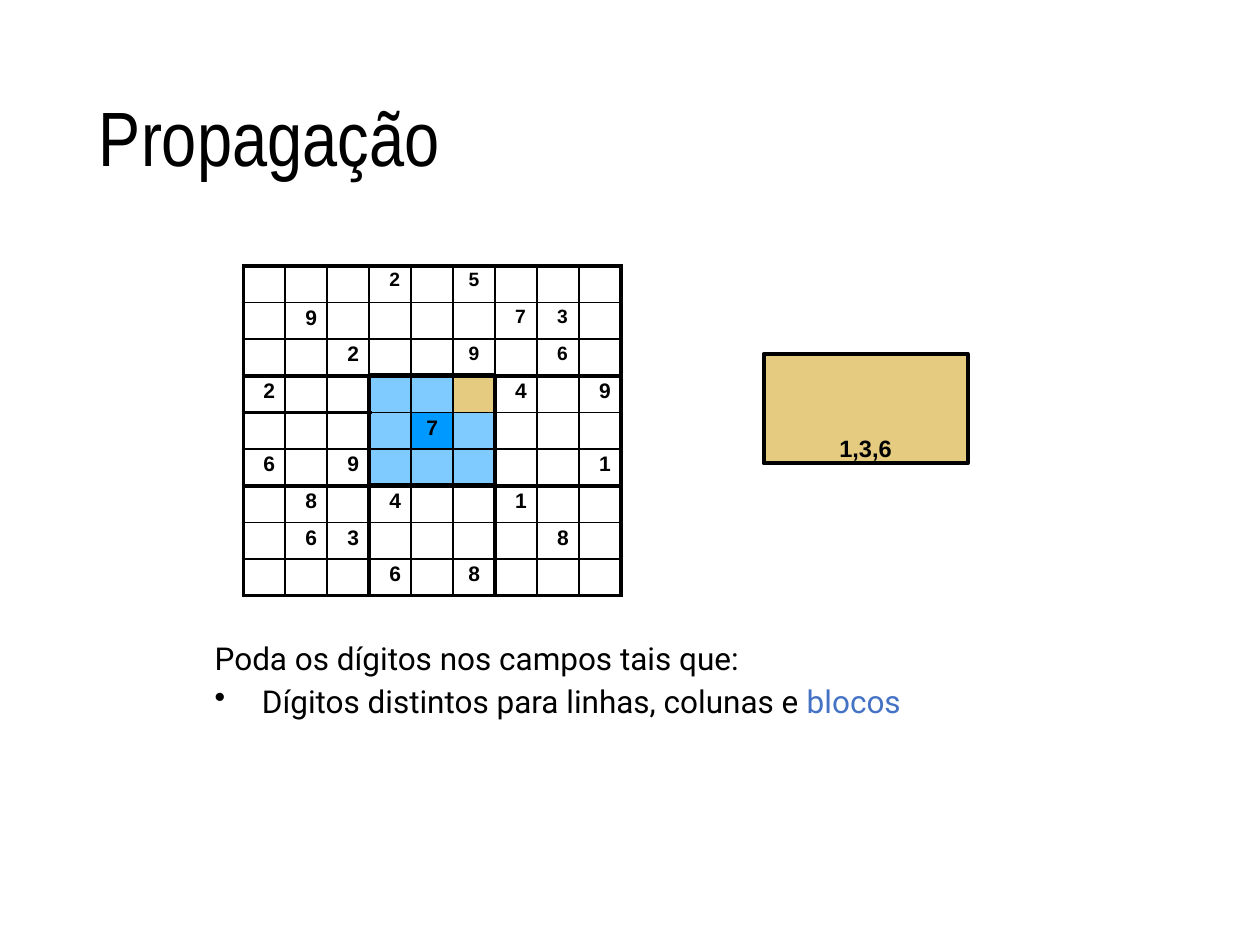
from lxml import etree
from pptx import Presentation, util as u
from pptx.dml.color import RGBColor
from pptx.enum import shapes, text
from pptx.oxml.ns import qn

# Content
TITLE = "Propagação"
PUZZLE = [
    "...2.5...",
    ".9....73.",
    "..2..9.6.",
    "2.....4.9",
    "....7....",
    "6.9.....1",
    ".8.4..1..",
    ".63....8.",
    "...6.8...",
]
SMALL = {(0, 3), (0, 5), (1, 6), (1, 7), (2, 5), (2, 7)}
FOCUS, TARGET = (4, 4), (3, 5)
CANDIDATES = "1,3,6"
INTRO = "Poda os dígitos nos campos tais que:"
RULE = ("Dígitos distintos para linhas, colunas e ", "blocos")

THEME = {
    "ink": "000000", "block": "7FCBFF", "focus": "0099FF", "target": "E5CB7F",
    "gold": "CC9900", "accent": "4472C4",
    "title": 44, "body": 18, "digit": 12, "small": 11, "candidates": 13.5,
    "title_font": "Arial Narrow", "digit_font": "Arial", "body_font": "Roboto",
}
N = 9
GRID = (139, 151.9, 216, 188.64)


def rgb(name):
    return RGBColor.from_string(THEME[name])


def style(p, size, font, bold=False):
    for r in p.runs:
        r.font.size, r.font.name, r.font.bold = u.Pt(THEME[size]), THEME[font], bold
        r.font.color.rgb = rgb("ink")


def indent(p, left, first=0):
    pPr = p._p.get_or_add_pPr()
    pPr.set("marL", str(u.Pt(left)))
    pPr.set("indent", str(u.Pt(first)))
    return pPr


def margins(obj, left, top, right, bottom):
    obj.margin_left, obj.margin_top = u.Pt(left), u.Pt(top)
    obj.margin_right, obj.margin_bottom = u.Pt(right), u.Pt(bottom)


def textbox(s, *box):
    tf = s.shapes.add_textbox(*map(u.Pt, box)).text_frame
    tf.word_wrap = True
    return tf


def vertical_width(line, row):
    """Width of the vertical rule at a column boundary."""
    if line in (0, N):
        return 2.25
    return (1.5, 3, 2.25)[row // 3] if line % 3 == 0 else 1


def horizontal_width(line, col):
    """Width of the horizontal rule at a row boundary."""
    if line in (3, 6) and col // 3 == 1:
        return 3
    if line % 3 == 0:
        return 2.25
    return 1.5 if line == 4 and col < 3 else 1


def set_borders(cell, row, col):
    widths = {"lnL": vertical_width(col, row), "lnR": vertical_width(col + 1, row),
              "lnT": horizontal_width(row, col), "lnB": horizontal_width(row + 1, col)}
    tcPr = cell._tc.get_or_add_tcPr()
    for i, (tag, width) in enumerate(widths.items()):
        ln = etree.Element(qn("a:" + tag), w=str(u.Pt(width)))
        fill = etree.SubElement(ln, qn("a:solidFill"))
        etree.SubElement(fill, qn("a:srgbClr"), val=THEME["ink"])
        tcPr.insert(i, ln)


def cell_colour(row, col):
    if (row, col) == FOCUS:
        return "focus"
    if (row, col) == TARGET:
        return "target"
    return "block" if row // 3 == col // 3 == 1 else None


def add_grid(s):
    table = s.shapes.add_table(N, N, *map(u.Pt, GRID)).table
    table.first_row = table.horz_banding = False
    for i in range(N):
        table.columns[i].width = u.Pt(GRID[2] / N)
        table.rows[i].height = u.Pt(GRID[3] / N)
    for row, digits in enumerate(PUZZLE):
        for col, digit in enumerate(digits):
            cell = table.cell(row, col)
            margins(cell, 0, 2, 0, 0)
            colour = cell_colour(row, col)
            if colour:
                cell.fill.solid()
                cell.fill.fore_color.rgb = rgb(colour)
            else:
                cell.fill.background()
            set_borders(cell, row, col)
            p = cell.text_frame.paragraphs[0]
            if digit == ".":
                # Small end mark keeps an empty row at its height
                etree.SubElement(p._p, qn("a:endParaRPr"), sz="1000")
                continue
            p.text = digit
            p.space_before = u.Pt(3.2)
            style(p, "small" if (row, col) in SMALL else "digit", "digit_font", True)
            if col == 5 or (row, col) == FOCUS:
                p.alignment = text.PP_ALIGN.CENTER
            else:
                indent(p, 11.5)


def add_candidates(s):
    sp = s.shapes.add_shape(shapes.MSO_SHAPE.RECTANGLE,
                            *map(u.Pt, (436.3, 202.3, 116.6, 62.6)))
    sp.shadow.inherit = False
    sp.fill.solid()
    sp.fill.fore_color.rgb = rgb("gold")
    clr = sp._element.spPr.find(qn("a:solidFill"))[0]
    etree.SubElement(clr, qn("a:alpha"), val="50000")
    sp.line.color.rgb, sp.line.width = rgb("ink"), u.Pt(2.28)
    tf = sp.text_frame
    margins(tf, 0, 0, 0, 0.8)
    tf.vertical_anchor = text.MSO_ANCHOR.BOTTOM
    p = tf.paragraphs[0]
    p.text = CANDIDATES
    p.alignment = text.PP_ALIGN.CENTER
    style(p, "candidates", "digit_font", True)


def add_body(s):
    tf = textbox(s, 121.7, 361.4, 449.3, 50.4)
    margins(tf, 0, 3.6, 0, 0)
    tf.text = INTRO + "\n" + RULE[0]
    intro, rule = tf.paragraphs
    rule.add_run().text = RULE[1]
    for p in (intro, rule):
        p.space_before = u.Pt(3.4)
        style(p, "body", "body_font")
    rule.runs[1].font.color.rgb = rgb("accent")
    indent(intro, 1)
    etree.SubElement(indent(rule, 28, -27), qn("a:buChar"), char="•")


def main():
    prs = Presentation()
    prs.slide_width, prs.slide_height = u.Pt(720), u.Pt(540)
    s = prs.slides.add_slide(prs.slide_layouts[6])

    # Title
    tf = textbox(s, 49.5, 28.8, 621, 104.4)
    tf.vertical_anchor = text.MSO_ANCHOR.MIDDLE
    p = tf.paragraphs[0]
    p.text = TITLE
    p.line_spacing = 0.9
    style(p, "title", "title_font")

    # Puzzle, remaining digits of the target field, explanation
    add_grid(s)
    add_candidates(s)
    add_body(s)
    prs.save("out.pptx")


if __name__ == "__main__":
    main()
